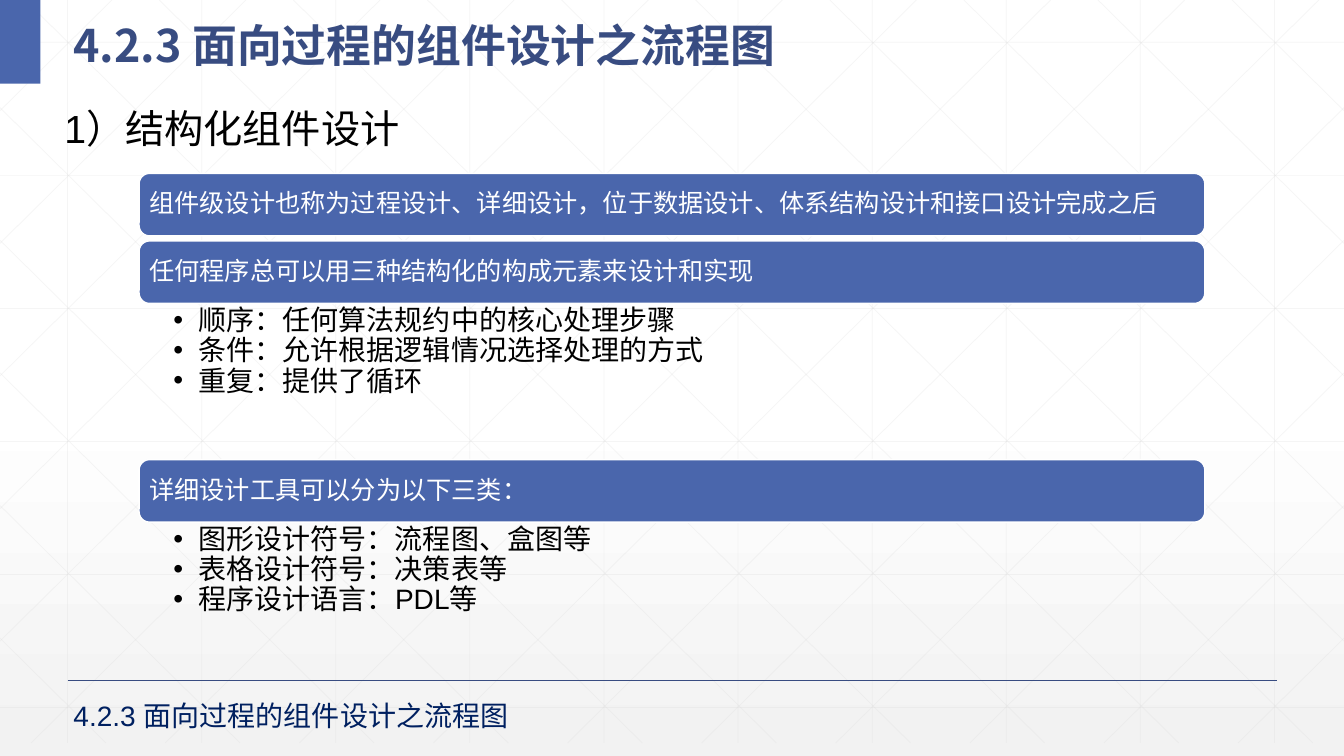
from lxml.etree import SubElement
from pptx import Presentation
from pptx.dml.color import RGBColor
from pptx.enum.shapes import MSO_CONNECTOR, MSO_SHAPE
from pptx.enum.text import MSO_ANCHOR, MSO_AUTO_SIZE, PP_ALIGN
from pptx.oxml.ns import qn
from pptx.util import Inches, Pt

WIDTH, HEIGHT = 13.33, 7.5
GRID_BOTTOM = 7.37
COLUMN_STEP, ROW_STEP = 1.33, 1.32
DIAGONAL_RUN = 7.45
SECTION = "4.2.3 面向过程的组件设计之流程图"
CJK_FONT = "Noto Sans CJK SC"

TOPICS = [
    (1.72, "组件级设计也称为过程设计、详细设计，位于数据设计、体系结构设计和接口设计完成之后", []),
    (2.39, "任何程序总可以用三种结构化的构成元素来设计和实现", [
        "顺序：任何算法规约中的核心处理步骤",
        "条件：允许根据逻辑情况选择处理的方式",
        "重复：提供了循环",
    ]),
    (4.56, "详细设计工具可以分为以下三类：", [
        "图形设计符号：流程图、盒图等",
        "表格设计符号：决策表等",
        "程序设计语言：PDL等",
    ]),
]


def color(value):
    return RGBColor.from_string(value)


def apply(target, values):
    for name, value in values.items():
        setattr(target, name, value)


class SlideBuilder:
    blue, dark_blue, grid_gray = "4A66AC", "384C81", "D9D9D9"

    def __init__(self, slide):
        self.slide = slide

    def background(self):
        fill = self.slide.background.fill
        fill.gradient()
        fill.gradient_angle = 270
        for stop, position, shade in zip(fill.gradient_stops, (0.53, 1), ("FFFFFF", "F2F2F2")):
            stop.position = position
            stop.color.rgb = color(shade)

    def line(self, start, end, shade, width, opacity=100):
        points = [Inches(value) for value in (*start, *end)]
        rule = self.slide.shapes.add_connector(MSO_CONNECTOR.STRAIGHT, *points)
        rule.line.color.rgb = color(shade)
        rule.line.width = Pt(width)
        properties = rule._element.spPr
        if opacity < 100:
            srgb = properties.find(".//" + qn("a:srgbClr"))
            SubElement(srgb, qn("a:alpha"), val=str(opacity * 1000))
        SubElement(properties, qn("a:effectLst"))

    def grid_line(self, start, end):
        self.line(start, end, self.grid_gray, 0.5, 25)

    def block(self, kind, box, outline=None):
        block = self.slide.shapes.add_shape(kind, *(Inches(value) for value in box))
        block.shadow.inherit = False
        block.fill.solid()
        block.fill.fore_color.rgb = color(self.blue)
        if outline:
            block.line.color.rgb = color(outline)
            block.line.width = Pt(1)
        else:
            block.line.fill.background()
        return block

    def fill_frame(self, frame, lines, size, shade, font=("Arial", False),
                   spacing=1.0, bullet=False, insets=(0.1, 0.05, 0.1, 0.05), **frame_format):
        left, top, right, bottom = (Inches(value) for value in insets)
        apply(frame, {"word_wrap": True, "margin_left": left, "margin_top": top,
                      "margin_right": right, "margin_bottom": bottom, **frame_format})
        for index, words in enumerate(lines):
            paragraph = frame.add_paragraph() if index else frame.paragraphs[0]
            if bullet:
                properties = paragraph._p.get_or_add_pPr()
                properties.set("marL", str(Inches(0.25)))
                properties.set("indent", str(-Inches(0.25)))
                SubElement(properties, qn("a:buFont"), typeface="Arial")
                SubElement(properties, qn("a:buChar"), char="•")
            apply(paragraph, {"alignment": PP_ALIGN.LEFT, "line_spacing": spacing})
            run = paragraph.add_run()
            run.text = words
            name, bold = font
            apply(run.font, {"name": name, "size": Pt(size), "bold": bold})
            run.font.color.rgb = color(shade)
            SubElement(run._r.get_or_add_rPr(), qn("a:ea"), typeface=CJK_FONT)

    def text(self, box, lines, size, shade, **style):
        textbox = self.slide.shapes.add_textbox(*(Inches(value) for value in box))
        self.fill_frame(textbox.text_frame, lines, size, shade, **style)

    def grid(self):
        for column in range(10):
            x = 0.67 + column * COLUMN_STEP
            self.grid_line((x, 0), (x, GRID_BOTTOM))
        for row in range(6):
            y = 0.42 + row * ROW_STEP
            self.grid_line((0, y), (WIDTH, y))
        slope = GRID_BOTTOM / DIAGONAL_RUN
        for step in range(-5, 10):
            origin = 0.25 + step * COLUMN_STEP
            left, right = max(0, origin), min(WIDTH, origin + DIAGONAL_RUN)
            top, bottom = (left - origin) * slope, (right - origin) * slope
            self.grid_line((left, top), (right, bottom))
            self.grid_line((WIDTH - left, top), (WIDTH - right, bottom))

    def topic(self, top, heading, points):
        bar = self.block(MSO_SHAPE.ROUNDED_RECTANGLE, (1.38, top, 10.57, 0.62), "FFFFFF")
        self.fill_frame(bar.text_frame, [heading], 18, "FFFFFF", spacing=0.9,
                        insets=(0.07,) * 4, vertical_anchor=MSO_ANCHOR.MIDDLE)
        if points:
            self.text((1.38, top + 0.62, 10.57, 1.55), points, 20, "000000", spacing=0.9,
                      bullet=True, insets=(0.34, 0.03, 0.16, 0.03))


def main():
    presentation = Presentation()
    apply(presentation, {"slide_width": Inches(WIDTH), "slide_height": Inches(HEIGHT)})
    builder = SlideBuilder(presentation.slides.add_slide(presentation.slide_layouts[6]))
    builder.background()
    builder.grid()
    builder.line((0.67, 6.75), (12.67, 6.75), builder.dark_blue, 1)
    builder.block(MSO_SHAPE.RECTANGLE, (0, 0, 0.4, 0.83))
    builder.text((0.63, 0, 7.61, 0.73), [SECTION], 32, builder.dark_blue,
                 font=(CJK_FONT, True), spacing=1.3, vertical_anchor=MSO_ANCHOR.MIDDLE)
    for topic in TOPICS:
        builder.topic(*topic)
    grow = MSO_AUTO_SIZE.SHAPE_TO_FIT_TEXT
    builder.text((0.54, 0.99, 4.6, 0.57), ["1）结构化组件设计"], 28, "000000", auto_size=grow)
    builder.text((0.63, 6.88, 4.69, 0.44), [SECTION], 20, "002060", auto_size=grow)
    presentation.save("out.pptx")


if __name__ == "__main__":
    main()
